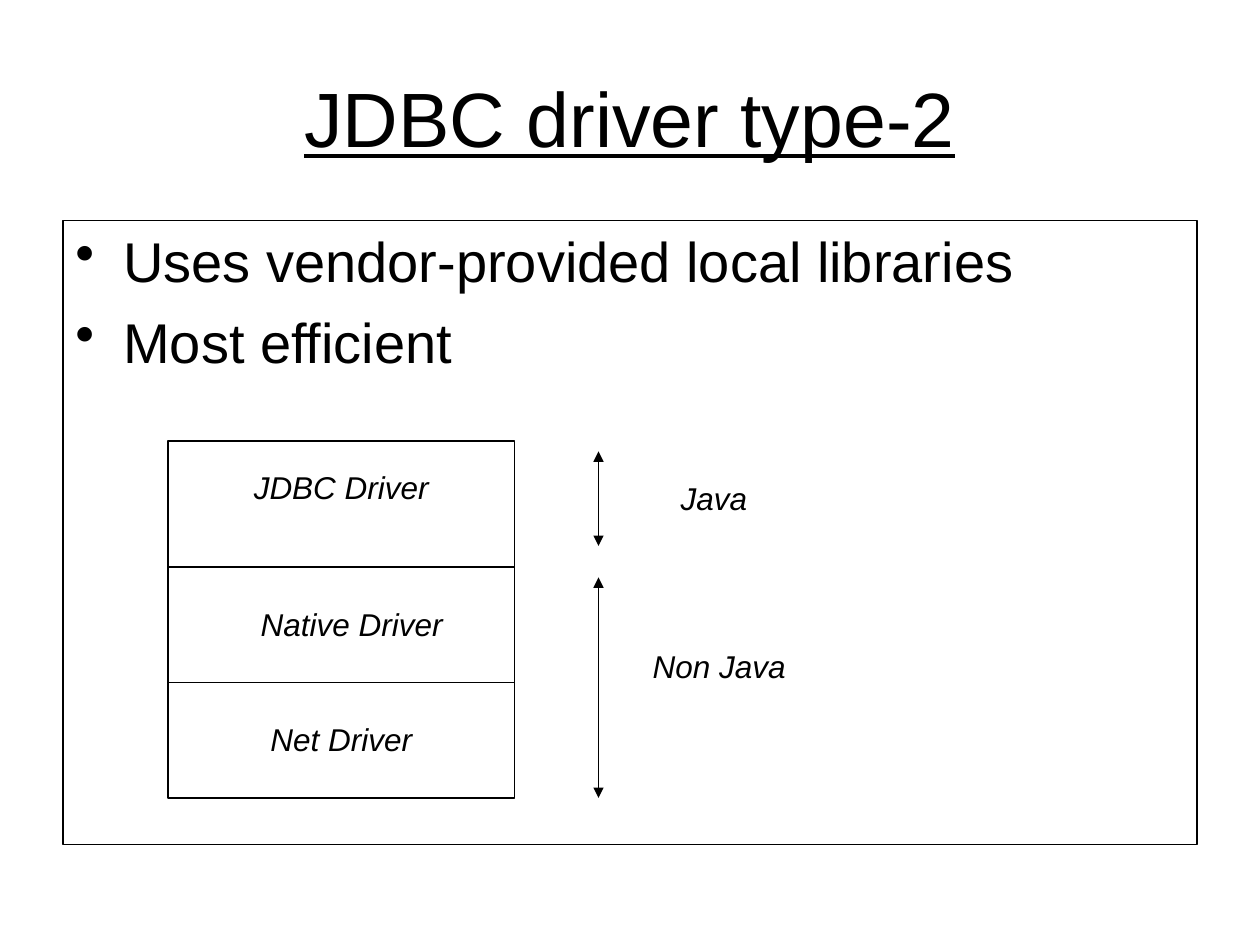
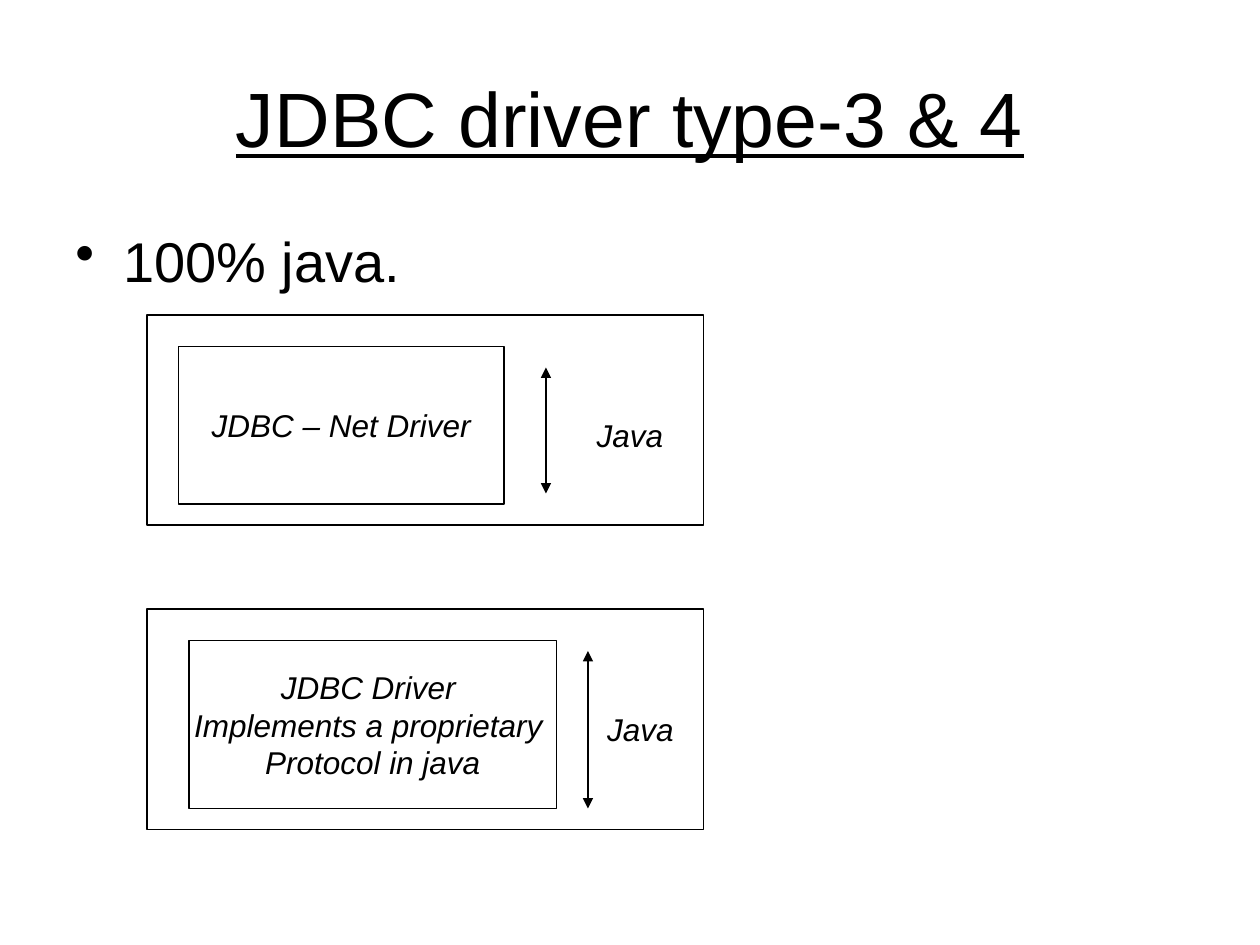
import pptx
import pptx.util
import pptx.dml.color
import pptx.enum.shapes
import pptx.enum.text
import pptx.oxml
import pptx.oxml.ns

COLS, ROWS = 120, 90
WIDE, HIGH = pptx.util.Inches(10), pptx.util.Inches(7.5)
INK, PAPER = "000000", "FFFFFF"
ALIGN = pptx.enum.text.PP_ALIGN
ANCHOR = pptx.enum.text.MSO_ANCHOR

TITLE = {
    "font": {"size": pptx.util.Pt(44), "underline": True},
    "para": {"alignment": ALIGN.CENTER},
    "frame": {"word_wrap": True, "vertical_anchor": ANCHOR.MIDDLE},
}
BODY = {
    "font": {"size": pptx.util.Pt(32)},
    "para": {"alignment": ALIGN.LEFT, "space_before": pptx.util.Pt(8)},
    "frame": {"word_wrap": True, "vertical_anchor": ANCHOR.TOP},
}
LABEL = {
    "font": {"size": pptx.util.Pt(18), "italic": True},
    "para": {"alignment": ALIGN.CENTER, "space_before": pptx.util.Pt(11.2)},
    "frame": {"word_wrap": True, "vertical_anchor": ANCHOR.TOP,
              "auto_size": pptx.enum.text.MSO_AUTO_SIZE.SHAPE_TO_FIT_TEXT},
}
BLOCK = {
    "font": {"size": pptx.util.Pt(18), "italic": True},
    "para": {"alignment": ALIGN.CENTER},
    "frame": {"word_wrap": False, "vertical_anchor": ANCHOR.MIDDLE},
}


def tint(code):
    """Return the colour for a hex string."""
    return pptx.dml.color.RGBColor.from_string(code)


def across(col):
    """Return the length of a number of columns."""
    return round(WIDE * col / COLS)


def down(row):
    """Return the length of a number of rows."""
    return round(HIGH * row / ROWS)


def area(col, row, cols, rows):
    """Turn grid units into left, top, width and height."""
    return across(col), down(row), across(cols), down(rows)


def put(item, values):
    """Set attributes from a dict of format values."""
    for name, value in values.items():
        setattr(item, name, value)


def node(parent, tag, **values):
    """Append a drawing element with attributes."""
    child = pptx.oxml.parse_xml(
        f"<a:{tag} {pptx.oxml.ns.nsdecls('a')}/>")
    for name, value in values.items():
        child.set(name, value)
    parent.append(child)


def write(shape, lines, style):
    """Fill a shape with one styled paragraph for each line."""
    frame = shape.text_frame
    put(frame, style["frame"])
    for num, line in enumerate(lines):
        para = frame.add_paragraph() if num else frame.paragraphs[0]
        put(para, style["para"])
        run = para.add_run()
        run.text = line
        put(run.font, {"name": "Arial", **style["font"]})
        run.font.color.rgb = tint(INK)


def text(slide, spot, lines, style):
    """Add a text box."""
    box = slide.shapes.add_textbox(*area(*spot))
    write(box, lines, style)
    return box


def stroke(item):
    """Give an outline or line the shared pen."""
    item.line.color.rgb = tint(INK)
    item.line.width = pptx.util.Pt(0.75)


def frame(slide, spot):
    """Add an outlined white rectangle."""
    kind = pptx.enum.shapes.MSO_SHAPE.RECTANGLE
    box = slide.shapes.add_shape(kind, *area(*spot))
    box.shadow.inherit = False
    box.fill.solid()
    box.fill.fore_color.rgb = tint(PAPER)
    stroke(box)
    return box


def line(slide, start, end):
    """Add a straight line between two grid points."""
    kind = pptx.enum.shapes.MSO_CONNECTOR.STRAIGHT
    link = slide.shapes.add_connector(
        kind, across(start[0]), down(start[1]), across(end[0]), down(end[1]))
    stroke(link)
    node(link._element.spPr, "effectLst")
    return link


def span(slide, col, top, end):
    """Add an upright arrow with a head at both ends."""
    link = line(slide, (col, top), (col, end))
    for tag in ("headEnd", "tailEnd"):
        node(link.line._get_or_add_ln(), tag, type="triangle")


def label(slide, col, row, cols, words):
    """Add a one-line italic label."""
    text(slide, (col, row, cols, 4.8), [words], LABEL)


def page(deck, title, points, boxed=False):
    """Add a slide with its title and bullet points."""
    slide = deck.slides.add_slide(deck.slide_layouts[6])
    text(slide, (6, 3.6, 108, 15), [title], TITLE)
    spot = (6, 21, 108, 59.4)
    if boxed:
        body = frame(slide, spot)
        write(body, points, BODY)
    else:
        body = text(slide, spot, points, BODY)
    indent = pptx.util.Inches(0.38)
    for para in body.text_frame.paragraphs:
        props = para._p.get_or_add_pPr()
        props.set("marL", str(indent))
        props.set("indent", str(-indent))
        node(props, "buChar", char="•")
    return slide


def stack(slide):
    """Draw the driver layers and the language of each."""
    frame(slide, (16, 42, 33, 34))
    for row in (54, 65):
        line(slide, (16, row), (49, row))
    for col, row, words in ((19, 44, "JDBC Driver"),
                            (20, 57, "Native Driver"),
                            (19, 68, "Net Driver")):
        label(slide, col, row, 27, words)
    for top, end, row, cols, words in ((43, 52, 45, 18, "Java"),
                                       (55, 76, 61, 19, "Non Java")):
        span(slide, 57, top, end)
        label(slide, 59, row, cols, words)


def panel(slide, outer, inner, lines, arrow, note):
    """Draw a driver box in a panel with its Java span."""
    frame(slide, outer)
    write(frame(slide, inner), lines, BLOCK)
    span(slide, *arrow)
    label(slide, *note, "Java")


def main():
    """Build both slides and save them."""
    deck = pptx.Presentation()
    put(deck, {"slide_width": WIDE, "slide_height": HIGH})
    stack(page(deck, "JDBC driver type-2",
               ["Uses vendor-provided local libraries", "Most efficient"],
               boxed=True))
    slide = page(deck, "JDBC driver type-3 & 4", ["100% java."])
    panel(slide, (14, 30, 53, 20), (17, 33, 31, 15),
          ["JDBC – Net Driver"], (52, 35, 47), (54, 39, 12))
    panel(slide, (14, 58, 53, 21), (18, 61, 35, 16),
          ["JDBC Driver ", "Implements a proprietary ", "Protocol in java"],
          (56, 62, 77), (56, 67, 10))
    deck.save("out.pptx")


if __name__ == "__main__":
    main()
